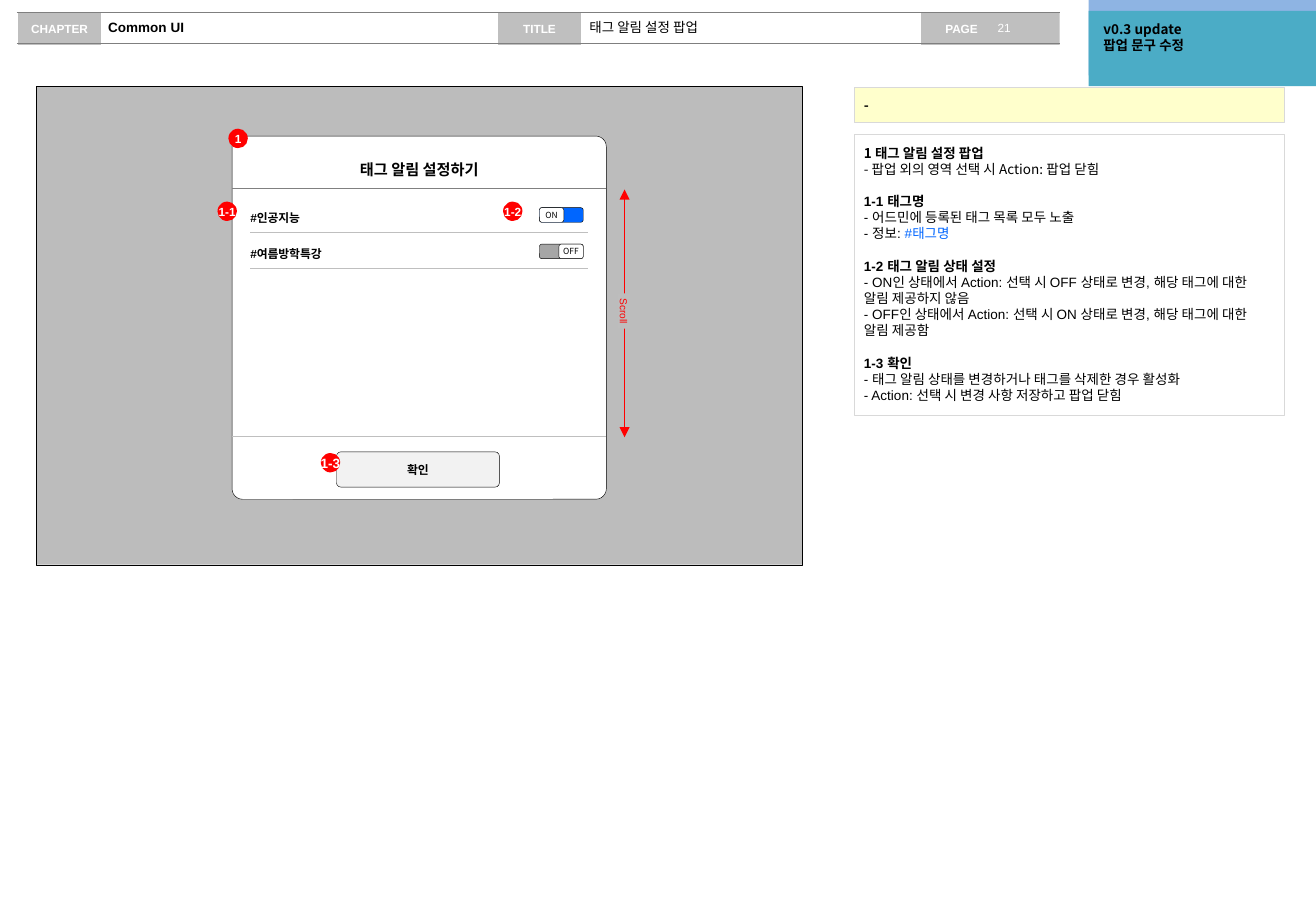
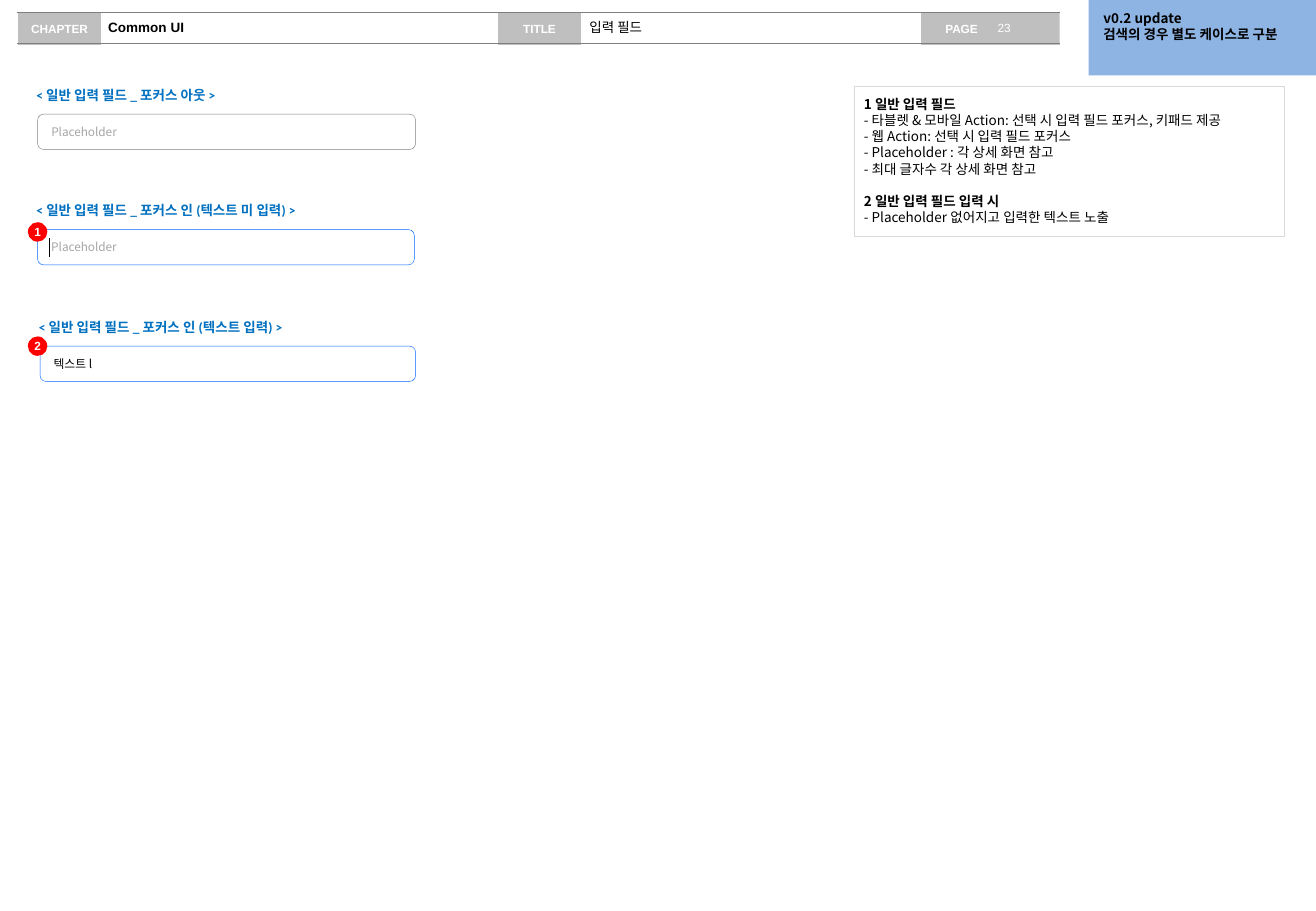
from dataclasses import dataclass

from lxml import etree
from pptx import Presentation
from pptx import util as u
from pptx.dml.color import RGBColor
from pptx.enum import shapes, text
from pptx.oxml import ns

RECT = shapes.MSO_SHAPE.RECTANGLE
ROUND = shapes.MSO_SHAPE.ROUNDED_RECTANGLE
OVAL = shapes.MSO_SHAPE.OVAL
LEFT, CENTER = text.PP_ALIGN.LEFT, text.PP_ALIGN.CENTER
TOP, MIDDLE = text.MSO_ANCHOR.TOP, text.MSO_ANCHOR.MIDDLE


@dataclass(frozen=True)
class Theme:
    sans: str = "Arial"
    korean: str = "Noto Sans CJK KR"
    caption_font: str = "Calibri"
    black: str = "000000"
    white: str = "FFFFFF"
    band: str = "BFBFBF"
    rule: str = "7F7F7F"
    border: str = "D9D9D9"
    field: str = "808080"
    muted: str = "A6A6A6"
    button: str = "F2F2F2"
    scrim: str = "595959"
    backdrop: str = "BDBDBD"
    accent: str = "0066FF"
    caption: str = "0070C0"
    marker: str = "FF0000"
    memo: str = "FFFFCC"
    old_version: str = "8EB4E3"
    new_version: str = "4BACC6"
    tiny: float = 5
    small: float = 6
    label: float = 7
    body: float = 8
    heading: float = 9
    hairline: float = 0.25
    thin: float = 0.5
    medium: float = 0.75
    note_gap: float = 9.6


THEME = Theme()


def apply(target, values):
    for name, value in values.items():
        setattr(target, name, value)


def sub(parent, tag, **attributes):
    return etree.SubElement(parent, ns.qn(tag), attributes)


class Wireframe:
    def __init__(self, theme):
        self.theme = theme
        self.deck = Presentation()
        apply(self.deck, {"slide_width": u.Inches(10.83), "slide_height": u.Inches(7.5)})
        self.page = None

    def add_page(self, chapter, title, number):
        """Start a slide with the shared header band."""
        t = self.theme
        self.page = self.deck.slides.add_slide(self.deck.slide_layouts[1])
        tag = {"size": t.label, "color": t.white, "bold": True, "wrap": False}
        self.box((7.58, 0.1, 1.14, 0.27), t.band, words="PAGE", align=LEFT,
                 inset=(0.2, 0.05, 0.1, 0.05), **tag)
        self.label((8.17, 0.12, 0.55, 0.22), number, color=t.white,
                   inset=(0.04, 0.05, 0, 0.05))
        for left, word in ((0.15, "CHAPTER"), (4.1, "TITLE")):
            self.box((left, 0.1, 0.68, 0.27), t.band, words=word, **tag)
        for y in (0.1, 0.36):
            self.line((0.14, y), (8.72, y), t.rule, t.medium)
        head, body = self.page.placeholders
        for holder, left, width, words, bold in (
                (head, 0.83, 3.27, chapter, True), (body, 4.79, 2.8, title, False)):
            self.place(holder, (left, 0.11, width, 0.24))
            self.set_text(holder, words, size=t.body, bold=bold, anchor=TOP,
                          inset=(0.06, 0.05, 0, 0.05))

    def place(self, shape, at):
        apply(shape, dict(zip(("left", "top", "width", "height"), map(u.Inches, at))))

    def set_text(self, shape, words, size=None, color=None, bold=False, font=None,
                 align=LEFT, anchor=MIDDLE, inset=(0.1, 0.05, 0.1, 0.05),
                 wrap=True, spacing=1.0):
        """Fill a shape with one paragraph for each line of words."""
        self.frame(shape, anchor, inset, wrap)
        for index, line in enumerate(words.split("\n")):
            para = self.para(shape.text_frame, index == 0, align, spacing)
            self.span(para, line, size, color, bold, font)

    def frame(self, shape, anchor, inset, wrap):
        sides = ("margin_left", "margin_top", "margin_right", "margin_bottom")
        apply(shape.text_frame, {
            "auto_size": text.MSO_AUTO_SIZE.NONE, "word_wrap": wrap,
            "vertical_anchor": anchor, **dict(zip(sides, map(u.Inches, inset)))})

    def para(self, frame, first, align=LEFT, spacing=1.0, before=0):
        para = frame.paragraphs[0] if first else frame.add_paragraph()
        apply(para, {"alignment": align, "line_spacing": spacing,
                     "space_before": u.Pt(before)})
        properties = para._p.get_or_add_pPr()
        for name in ("marL", "indent"):
            properties.set(name, "0")
        sub(properties, "a:buNone")
        return para

    def span(self, para, words, size=None, color=None, bold=False, font=None):
        t = self.theme
        span = para.add_run()
        span.text = words
        apply(span.font, {"size": u.Pt(size or t.label), "bold": bold,
                          "name": font or t.sans})
        span.font.color.rgb = RGBColor.from_string(color or t.black)
        sub(span._r.get_or_add_rPr(), "a:ea", typeface=t.korean)

    def box(self, at, fill=None, line=None, width=None, kind=RECT, radius=None,
            alpha=None, words="", **style):
        shape = self.page.shapes.add_shape(kind, *map(u.Inches, at))
        shape.shadow.inherit = False
        if radius is not None:
            shape.adjustments[0] = radius
        if fill:
            shape.fill.solid()
            shape.fill.fore_color.rgb = RGBColor.from_string(fill)
        else:
            shape.fill.background()
        if line:
            shape.line.color.rgb = RGBColor.from_string(line)
            shape.line.width = u.Pt(width or self.theme.hairline)
        else:
            shape.line.fill.background()
        if alpha:
            color = shape._element.spPr.find(".//" + ns.qn("a:srgbClr"))
            sub(color, "a:alpha", val=str(alpha * 1000))
        if words:
            self.set_text(shape, words, **{"align": CENTER, **style})
        return shape

    def label(self, at, words, **style):
        shape = self.page.shapes.add_textbox(*map(u.Inches, at))
        self.set_text(shape, words, **{"anchor": TOP, "inset": (0, 0, 0, 0), **style})

    def line(self, start, end, color, width=None, arrows=False):
        line = self.page.shapes.add_connector(
            shapes.MSO_CONNECTOR.STRAIGHT, *map(u.Inches, start + end))
        line.line.color.rgb = RGBColor.from_string(color)
        line.line.width = u.Pt(width or self.theme.hairline)
        properties = line._element.spPr
        if arrows:
            for tag in ("a:headEnd", "a:tailEnd"):
                sub(properties.find(ns.qn("a:ln")), tag, type="triangle")
        sub(properties, "a:effectLst")

    def badge(self, left, top, number, size=None):
        t = self.theme
        self.box((left, top, 0.16, 0.16), t.marker, kind=OVAL, words=number, size=size,
                 color=t.white, bold=True, inset=(0, 0, 0, 0), wrap=False)

    def version(self, top, fill, words=""):
        t = self.theme
        self.box((8.96, top, 1.87, 0.62), fill, words=words, size=t.body, bold=True,
                 font=t.korean, align=LEFT, anchor=TOP, inset=(0.12, 0.08, 0.1, 0.05))

    def notes(self, top, height, sections):
        """Description panel: sections of (font, heading, lines)."""
        t = self.theme
        panel = self.box((7.03, top, 3.54, height), line=t.border, width=t.medium)
        self.frame(panel, TOP, (0.08,) * 4, True)
        for index, (font, heading, lines) in enumerate(sections):
            para = self.para(panel.text_frame, index == 0,
                             before=t.note_gap if index else 0)
            self.span(para, heading, t.body, bold=True, font=font)
            for line in lines:
                para = self.para(panel.text_frame, False)
                plain, mark, tag = line.partition("#")
                self.span(para, plain, t.body, font=font)
                if mark:
                    self.span(para, mark + tag, t.body, t.accent, font=font)

    def toggle(self, top, state, fill, knob_left):
        t = self.theme
        self.box((4.44, top, 0.36, 0.12), fill, t.black, kind=ROUND)
        self.box((knob_left, top, 0.2, 0.12), t.white, t.black, kind=ROUND, words=state,
                 size=t.tiny, font=t.korean, inset=(0, 0, 0, 0))

    def input_field(self, left, top, width, caption, caption_width, words, line, color):
        """Text field with its caption above."""
        t = self.theme
        self.box((left, top, width, 0.29), line=line, kind=ROUND, words=words,
                 color=color, font=t.korean, align=LEFT)
        self.label((left - 0.01, top - 0.23, caption_width, 0.14), caption, size=t.body,
                   color=t.caption, bold=True, font=t.caption_font, anchor=MIDDLE)


def tag_popup(wire):
    t = wire.theme
    wire.add_page("Common UI", "태그 알림 설정 팝업", "21")
    wire.notes(1.11, 2.31, (
        (t.korean, "1 태그 알림 설정 팝업", ("- 팝업 외의 영역 선택 시 Action: 팝업 닫힘",)),
        (t.sans, "1-1 태그명", ("- 어드민에 등록된 태그 목록 모두 노출", "- 정보: #태그명")),
        (t.sans, "1-2 태그 알림 상태 설정", (
            "- ON인 상태에서 Action: 선택 시 OFF 상태로 변경, 해당 태그에 대한 알림 제공하지 않음",
            "- OFF인 상태에서 Action: 선택 시 ON 상태로 변경, 해당 태그에 대한 알림 제공함")),
        (t.sans, "1-3 확인", (
            "- 태그 알림 상태를 변경하거나 태그를 삭제한 경우 활성화",
            "- Action: 선택 시 변경 사항 저장하고 팝업 닫힘"))))
    wire.box((0.3, 0.71, 6.3, 3.94), t.scrim, t.black, alpha=40)
    wire.box((1.91, 1.12, 3.08, 2.99), t.white, t.black, kind=ROUND, radius=0.029)
    wire.label((2.9, 1.32, 1.1, 0.15), "태그 알림 설정하기", size=t.heading, bold=True,
               align=CENTER, wrap=False)
    for y, color in ((1.55, t.field), (3.59, t.band)):
        wire.line((1.91, y), (4.99, y), color)
    tags = (("#인공지능", "ON", t.accent, 4.44), ("#여름방학특강", "OFF", t.muted, 4.6))
    for row, (name, state, fill, knob_left) in enumerate(tags):
        top = 1.7 + 0.3 * row
        wire.label((2.06, top, 1.91, 0.14), name, bold=True, spacing=1.3)
        wire.toggle(top + 0.01, state, fill, knob_left)
        wire.line((2.06, top + 0.21), (4.84, top + 0.21), t.band)
    wire.box((2.77, 3.72, 1.34, 0.29), t.button, t.black, kind=ROUND, radius=0.123,
             words="확인", bold=True, font=t.korean)
    for left, top, number, size in ((1.79, 1.66, "1-1", t.label), (4.14, 1.66, "1-2", t.label),
                                    (1.88, 1.06, "1", t.label), (2.64, 3.73, "1-3", t.body)):
        wire.badge(left, top, number, size)
    wire.line((5.14, 1.56), (5.14, 3.6), t.marker, arrows=True)
    scroll = wire.box((4.99, 2.51, 0.29, 0.1), t.backdrop, words="Scroll", size=t.small,
                      color=t.marker, inset=(0.04, 0, 0.04, 0), wrap=False)
    scroll.rotation = 90
    wire.version(0, t.old_version)
    wire.box((7.03, 0.72, 3.54, 0.29), t.memo, t.border, t.medium, words="-", size=t.body,
             bold=True, font=t.korean, align=LEFT, anchor=TOP, inset=(0.08,) * 4)
    wire.version(0.09, t.new_version, "v0.3 update\n팝업 문구 수정")


def input_fields(wire):
    t = wire.theme
    wire.add_page("Common UI", "입력 필드", "23")
    wire.notes(0.71, 1.24, (
        (t.korean, "1 일반 입력 필드", (
            "- 타블렛 & 모바일 Action: 선택 시 입력 필드 포커스, 키패드 제공",
            "- 웹 Action: 선택 시 입력 필드 포커스",
            "- Placeholder : 각 상세 화면 참고",
            "- 최대 글자수 각 상세 화면 참고")),
        (t.korean, "2 일반 입력 필드 입력 시", ("- Placeholder 없어지고 입력한 텍스트 노출",))))
    for field in (
            (0.31, 0.94, 3.11, "< 일반 입력 필드 _ 포커스 아웃 >", 2.46,
             "Placeholder", t.field, t.muted),
            (0.31, 1.89, 3.1, "< 일반 입력 필드 _ 포커스 인 (텍스트 미 입력) >", 2.31,
             "Placeholder", t.accent, t.muted),
            (0.33, 2.85, 3.09, "< 일반 입력 필드 _ 포커스 인 (텍스트 입력) >", 2.84,
             "텍스트 l", t.accent, t.black)):
        wire.input_field(*field)
    wire.line((0.41, 1.96), (0.41, 2.12), t.black, t.thin)
    for top, number in ((1.83, "1"), (2.77, "2")):
        wire.badge(0.23, top, number)
    wire.version(0, t.old_version, "v0.2 update\n검색의 경우 별도 케이스로 구분")


def main():
    wire = Wireframe(THEME)
    tag_popup(wire)
    input_fields(wire)
    wire.deck.save("out.pptx")


if __name__ == "__main__":
    main()
